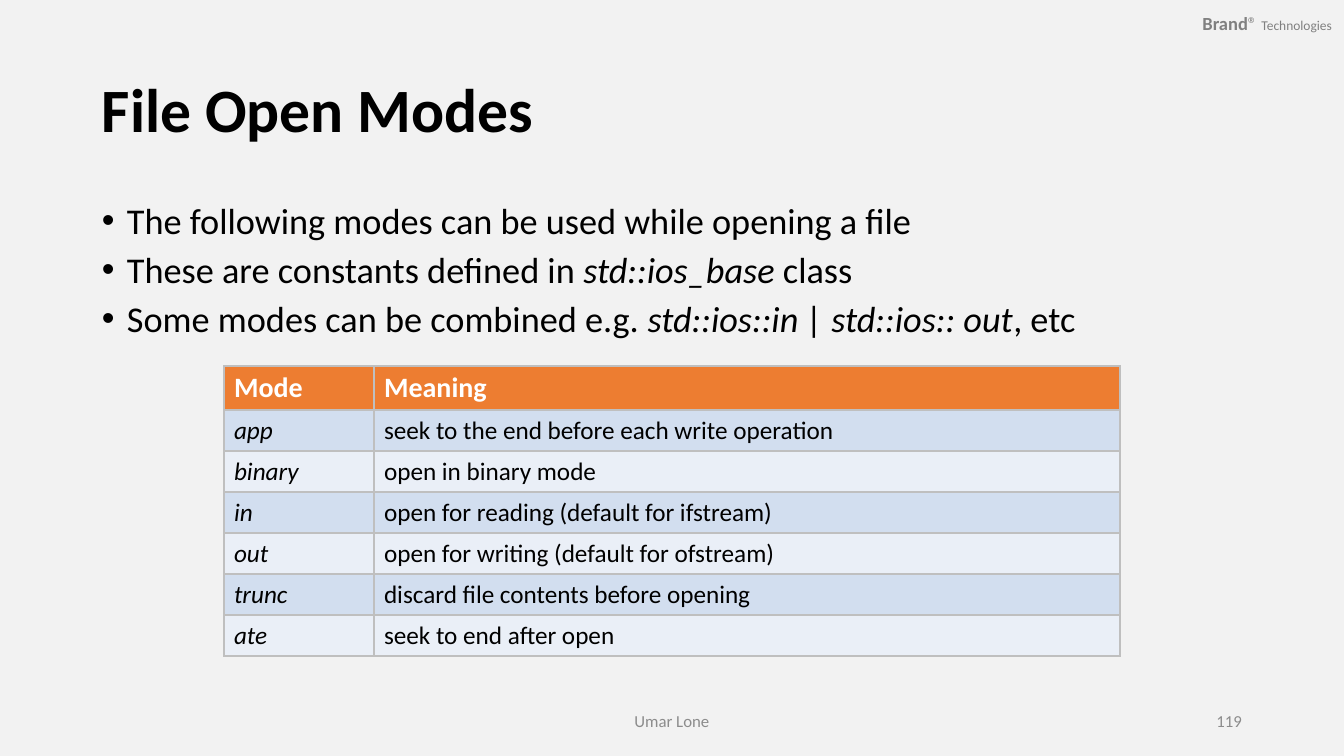
import pptx
import pptx.dml.color
import pptx.enum.text
import pptx.oxml.ns
import pptx.util
from lxml import etree

RGB = pptx.dml.color.RGBColor
ALIGN = pptx.enum.text.PP_ALIGN
ANCHOR = pptx.enum.text.MSO_ANCHOR

PAPER = RGB(0xF2, 0xF2, 0xF2)
BLACK = RGB(0, 0, 0)
WHITE = RGB(0xFF, 0xFF, 0xFF)
GRAY = RGB(0x80, 0x80, 0x80)
FOOT = RGB(0x8C, 0x8C, 0x8C)
RULE = RGB(0xBF, 0xBF, 0xBF)
ORANGE = RGB(0xED, 0x7D, 0x31)
BANDS = [RGB(0xEA, 0xEF, 0xF7), RGB(0xD2, 0xDE, 0xEF)]
FONT = "Calibri"

# A paragraph is a list of runs: (text, format that differs from the rest).
BRAND = [[("Brand", {"bold": True}), ("® ", {}), ("Technologies", {"size": 9.6})]]
TITLE = [[("File Open Modes", {})]]
POINTS = [
    [("The following modes can be used while opening a file", {})],
    [("These are constants defined in ", {}),
     ("std::ios_base ", {"italic": True}), ("class", {})],
    [("Some modes can be combined e.g. ", {}),
     ("std::ios::in | std::ios:: out", {"italic": True}), (", etc", {})],
]
MODES = [
    ("Mode", "Meaning"),
    ("app", "seek to the end before each write operation"),
    ("binary", "open in binary mode"),
    ("in", "open for reading (default for ifstream)"),
    ("out", "open for writing (default for ofstream)"),
    ("trunc", "discard file contents before opening"),
    ("ate", "seek to end after open"),
]
AUTHOR = [[("Umar Lone", {})]]
NUMBER = [[("119", {})]]

WIDE, HIGH = 1344, 756
COLS = [150, 746]
HEAD, ROW = 44, 41
INDENT = 25


def px(n):
    return pptx.util.Emu(round(n * 914400 / 100.8))


def write(frame, paras, size=18, color=BLACK, bold=False, italic=False,
          align=ALIGN.LEFT, line=None, before=0, bullet=None):
    for i, runs in enumerate(paras):
        para = frame.paragraphs[0] if i == 0 else frame.add_paragraph()
        para.alignment = align
        para.space_before = pptx.util.Pt(before)
        if line:
            para.line_spacing = line
        if bullet:
            props = para._p.get_or_add_pPr()
            props.set("marL", str(px(INDENT)))
            props.set("indent", str(-px(INDENT)))
            font = etree.SubElement(props, pptx.oxml.ns.qn("a:buFont"))
            font.set("typeface", "Arial")
            mark = etree.SubElement(props, pptx.oxml.ns.qn("a:buChar"))
            mark.set("char", bullet)
        for text, diff in runs:
            run = para.add_run()
            run.text = text
            run.font.name = FONT
            run.font.size = pptx.util.Pt(diff.get("size", size))
            run.font.color.rgb = color
            run.font.bold = diff.get("bold", bold)
            run.font.italic = diff.get("italic", italic)


def add_text(slide, box, paras, anchor=ANCHOR.MIDDLE, inset=(10, 5), **style):
    frame = slide.shapes.add_textbox(*map(px, box)).text_frame
    frame.word_wrap = True
    frame.vertical_anchor = anchor
    frame.margin_left = frame.margin_right = px(inset[0])
    frame.margin_top = frame.margin_bottom = px(inset[1])
    write(frame, paras, **style)


def rule(cell):
    """Draw a thin line on all four sides of a cell."""
    props = cell._tc.get_or_add_tcPr()
    for i, side in enumerate(("lnL", "lnR", "lnT", "lnB")):
        edge = etree.Element(pptx.oxml.ns.qn("a:" + side), w="12700")
        fill = etree.SubElement(edge, pptx.oxml.ns.qn("a:solidFill"))
        etree.SubElement(fill, pptx.oxml.ns.qn("a:srgbClr"), val=str(RULE))
        props.insert(i, edge)


def add_modes(slide, left, top):
    high = HEAD + ROW * (len(MODES) - 1)
    table = slide.shapes.add_table(
        len(MODES), len(COLS), px(left), px(top), px(sum(COLS)), px(high)).table
    for col, wide in zip(table.columns, COLS):
        col.width = px(wide)
    for r, row in enumerate(MODES):
        head = r == 0
        table.rows[r].height = px(HEAD if head else ROW)
        for c, text in enumerate(row):
            cell = table.cell(r, c)
            cell.fill.solid()
            cell.fill.fore_color.rgb = ORANGE if head else BANDS[r % 2]
            rule(cell)
            write(cell.text_frame, [[(text, {})]], size=20 if head else 18,
                  color=WHITE if head else BLACK, bold=head,
                  italic=not head and c == 0)


def main():
    deck = pptx.Presentation()
    deck.slide_width, deck.slide_height = px(WIDE), px(HIGH)
    slide = deck.slides.add_slide(deck.slide_layouts[6])
    slide.background.fill.solid()
    slide.background.fill.fore_color.rgb = PAPER

    add_text(slide, (1150, 1, 194, 45), BRAND, inset=(12, 6),
             size=13.2, color=GRAY, align=ALIGN.RIGHT)
    add_text(slide, (92, 40, 1160, 146), TITLE, size=44, bold=True, line=0.9)
    add_text(slide, (92, 202, 1160, 149), POINTS, anchor=ANCHOR.TOP,
             size=25.9, line=0.8, before=10, bullet="•")
    add_modes(slide, (WIDE - sum(COLS)) // 2, 366)
    add_text(slide, (445, 701, 454, 40), AUTHOR, size=12, color=FOOT,
             align=ALIGN.CENTER)
    add_text(slide, (949, 701, 303, 40), NUMBER, size=12, color=FOOT,
             align=ALIGN.RIGHT)
    deck.save("out.pptx")


if __name__ == "__main__":
    main()
